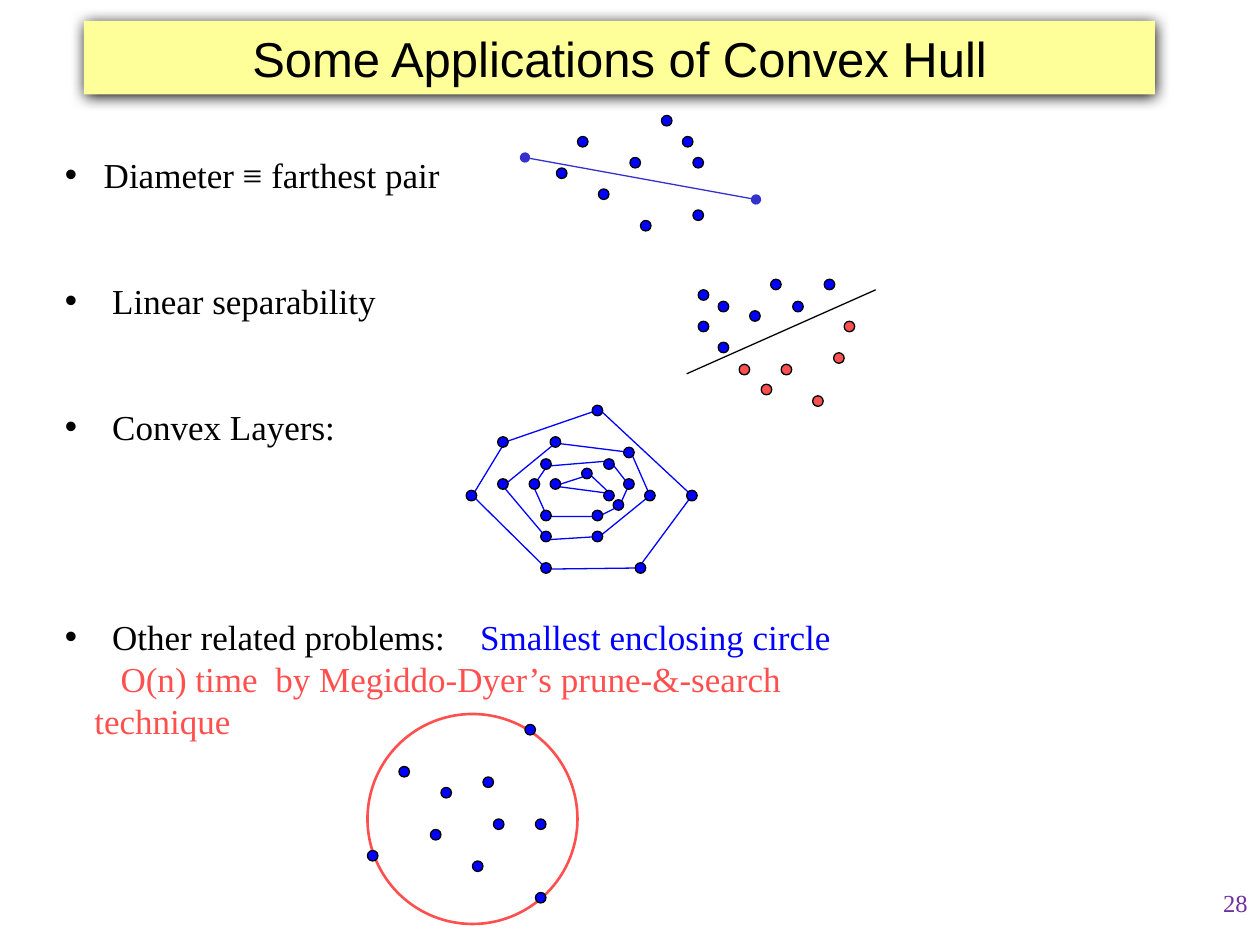
from lxml import etree
from pptx import Presentation
from pptx.dml.color import RGBColor
from pptx.enum.shapes import MSO_CONNECTOR, MSO_SHAPE
from pptx.enum.text import MSO_ANCHOR, PP_ALIGN
from pptx.oxml.ns import qn
from pptx.util import Pt

SCALE = 7620
RECTANGLE, OVAL = MSO_SHAPE.RECTANGLE, MSO_SHAPE.OVAL
STRAIGHT = MSO_CONNECTOR.STRAIGHT
LEFT, CENTER, RIGHT = PP_ALIGN.LEFT, PP_ALIGN.CENTER, PP_ALIGN.RIGHT
MIDDLE = MSO_ANCHOR.MIDDLE

BLACK = RGBColor(0x00, 0x00, 0x00)
BLUE = RGBColor(0x00, 0x00, 0xFF)
INDIGO = RGBColor(0x33, 0x33, 0xCC)
RED = RGBColor(0xFF, 0x50, 0x50)
YELLOW = RGBColor(0xFF, 0xFF, 0x99)
PURPLE = RGBColor(0x70, 0x30, 0xA0)

DIAMETER_POINTS = [(550, 130), (530, 160), (630, 110), (570, 180), (660, 200),
                   (600, 150), (610, 210), (660, 150), (650, 130)]
UPPER_POINTS = [(665, 306), (684, 326), (665, 276), (684, 287),
                (714, 296), (755, 287), (785, 266), (734, 266)]
LOWER_POINTS = [(704, 347), (725, 366), (774, 377),
                (804, 306), (744, 347), (794, 336)]
LAYERS = [
    [(450, 472), (481, 421), (571, 390), (659, 472), (608, 541), (521, 542)],
    [(479, 463), (529, 422), (601, 431), (619, 472), (571, 511), (522, 514)],
    [(508, 463), (521, 444), (581, 439), (599, 462), (590, 482), (570, 492),
     (521, 492)],
    [(528, 463), (562, 452), (581, 470)],
]
LAYER_POINTS = [
    (564, 386), (654, 467), (474, 416), (444, 467), (515, 536), (605, 536),
    (594, 426), (524, 416), (474, 456), (515, 506), (564, 506), (614, 467),
    (575, 437), (594, 456), (584, 476), (564, 486), (515, 486), (504, 456),
    (515, 437), (524, 456), (575, 467), (554, 446),
]
CIRCLE_POINTS = [(420, 750), (470, 780), (450, 820), (410, 790), (460, 740),
                 (510, 780), (380, 730), (350, 810), (510, 850), (500, 690)]


class HullSlide:
    """Hold the style and the slide, with a method for each kind of element."""

    serif = "Times New Roman"
    sans = "Arial"
    hairline = 0.75
    dot_size = 10

    def __init__(self, deck):
        self.slide = deck.slides.add_slide(deck.slide_layouts[6])
        self.shapes = self.slide.shapes

    def emu(self, *lengths):
        return [length * SCALE for length in lengths]

    def paint(self, shape, fill, line, width=hairline):
        shape.shadow.inherit = False
        if fill is None:
            shape.fill.background()
        else:
            shape.fill.solid()
            shape.fill.fore_color.rgb = fill
        if line is None:
            shape.line.fill.background()
        else:
            shape.line.color.rgb = line
            shape.line.width = Pt(width)

    def run(self, paragraph, text, size, color, font=serif, spacing=0):
        run = paragraph.add_run()
        run.text = text
        run.font.size = Pt(size)
        run.font.name = font
        run.font.color.rgb = color
        if spacing:
            run._r.get_or_add_rPr().set("spc", str(spacing * 100))

    def title(self, box, text):
        banner = self.shapes.add_shape(RECTANGLE, *self.emu(*box))
        self.paint(banner, YELLOW, None)
        effects = banner._element.spPr.find(qn("a:effectLst"))
        shadow = etree.SubElement(
            effects, qn("a:outerShdw"), blurRad=str(Pt(8.5)),
            dist=str(Pt(1)), dir="5400000", algn="ctr", rotWithShape="0")
        etree.SubElement(shadow, qn("a:srgbClr"), val=str(BLACK))
        banner.text_frame.vertical_anchor = MIDDLE
        heading = banner.text_frame.paragraphs[0]
        heading.alignment = CENTER
        self.run(heading, text, 28, BLACK, self.sans)

    def text_box(self, box):
        frame = self.shapes.add_textbox(*self.emu(*box)).text_frame
        frame.word_wrap = True
        return frame

    def paragraph(self, paragraph, runs, margin, indent, gap=0, bullet=True):
        paragraph.alignment = LEFT
        paragraph.line_spacing = Pt(24)
        paragraph.space_after = Pt(gap)
        properties = paragraph._p.get_or_add_pPr()
        properties.set("marL", str(margin * SCALE))
        properties.set("indent", str(indent * SCALE))
        if bullet:
            etree.SubElement(properties, qn("a:buFont"), typeface=self.sans)
            etree.SubElement(properties, qn("a:buChar"), char="•")
        for text, color, spacing in runs:
            self.run(paragraph, text, 20, color, spacing=spacing)

    def page_number(self, box, text):
        number = self.text_box(box).paragraphs[0]
        number.alignment = RIGHT
        self.run(number, text, 14, PURPLE)

    def dots(self, corners, color):
        for left, top in corners:
            dot = self.shapes.add_shape(
                OVAL, *self.emu(left, top, self.dot_size, self.dot_size))
            self.paint(dot, color, BLACK)

    def circle(self, left, top, size, color):
        ring = self.shapes.add_shape(OVAL, *self.emu(left, top, size, size))
        self.paint(ring, None, color, 1.5)

    def polygon(self, corners, color):
        builder = self.shapes.build_freeform(*corners[0], scale=SCALE)
        builder.add_line_segments(corners[1:], close=True)
        self.paint(builder.convert_to_shape(), None, color)

    def line(self, start, end, color, oval_ends=False):
        segment = self.shapes.add_connector(STRAIGHT, *self.emu(*start, *end))
        segment.line.color.rgb = color
        segment.line.width = Pt(self.hairline)
        properties = segment._element.spPr
        if oval_ends:
            for tag in ("a:headEnd", "a:tailEnd"):
                etree.SubElement(properties.find(qn("a:ln")), qn(tag), type="oval")
        etree.SubElement(properties, qn("a:effectLst"))


def main():
    deck = Presentation()
    deck.slide_width, deck.slide_height = 1200 * SCALE, 900 * SCALE
    hull = HullSlide(deck)

    topics = hull.text_box((50, 90, 815, 580))
    topics.margin_top = 56 * SCALE
    bullets = [
        ([("Diameter ≡ farthest pair", BLACK, 0)], 37, 48),
        ([("Linear separability", BLACK, 0)], 45, 48),
        ([("Convex Layers:", BLACK, 0)], 45, 96),
        ([("Other related problems:", BLACK, 0), (" ", BLACK, 15),
          ("Smallest enclosing circle", BLUE, 0)], 45, 0),
    ]
    topic = topics.paragraphs[0]
    for runs, margin, gap in bullets:
        hull.paragraph(topic, runs, margin, -margin, gap)
        topic = topics.add_paragraph()
    running_time = [("O(n) time", RED, 0), (" ", RED, 5),
                    ("by Megiddo-Dyer’s prune-&-search technique", RED, 0)]
    hull.paragraph(topic, running_time, 28, 25, bullet=False)

    hull.title((80, 20, 1020, 70), "Some Applications of Convex Hull")

    hull.dots(DIAMETER_POINTS, BLUE)
    hull.line((500, 150), (720, 190), INDIGO, oval_ends=True)

    hull.line((654, 356), (834, 276), BLACK)
    hull.dots(UPPER_POINTS, BLUE)
    hull.dots(LOWER_POINTS, RED)

    for layer in LAYERS:
        hull.polygon(layer, BLUE)
    hull.dots(LAYER_POINTS, BLUE)

    hull.circle(350, 680, 200, RED)
    hull.dots(CIRCLE_POINTS, BLUE)

    hull.page_number((950, 840, 250, 60), "28")
    deck.save("out.pptx")


if __name__ == "__main__":
    main()
